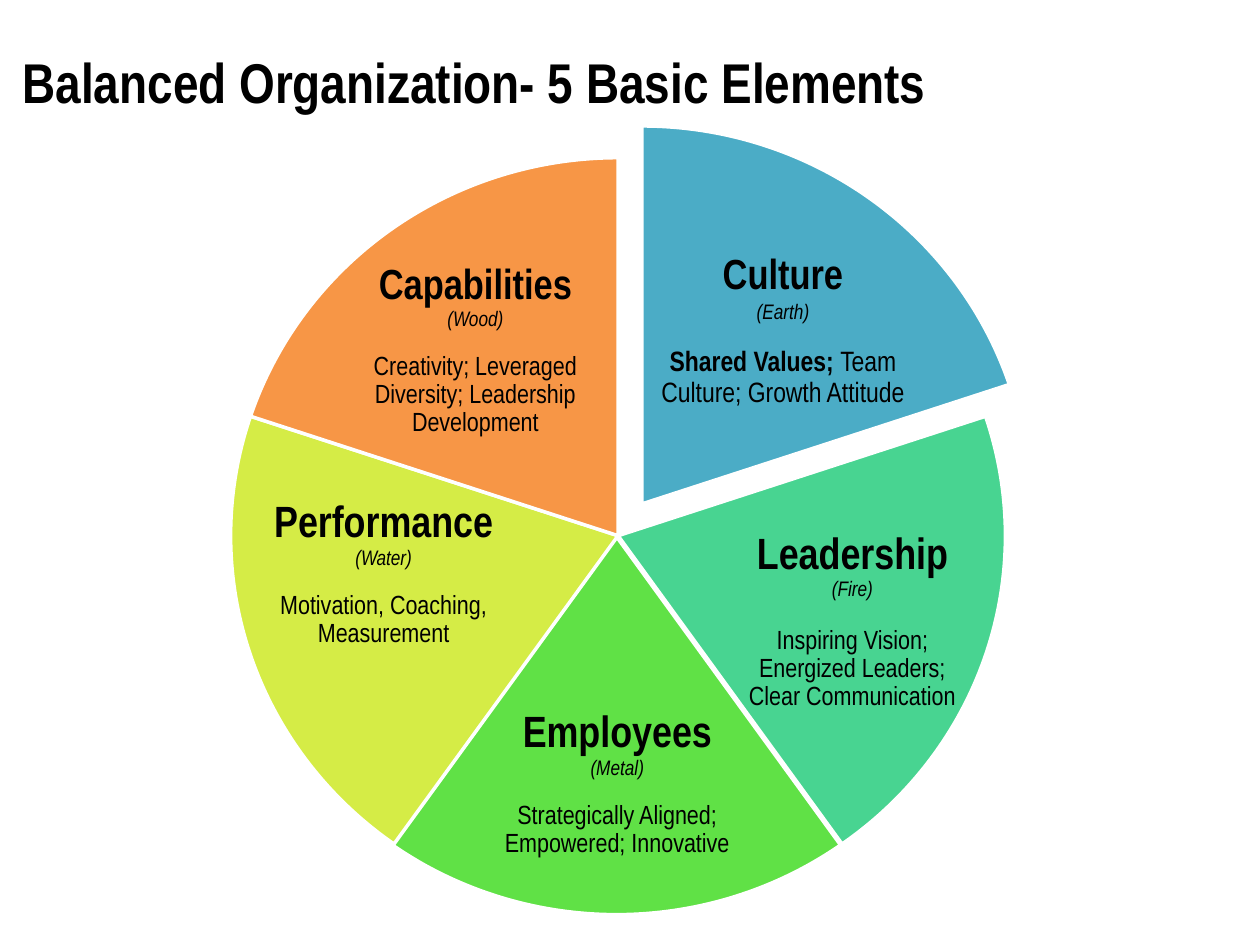
import pptx
import pptx.util
import pptx.dml.color
import pptx.enum.shapes
import pptx.enum.text

Cm = pptx.util.Cm
Pt = pptx.util.Pt

COLORS = {
    "text": "000000",
    "gap": "FFFFFF",
    "Culture": "4BACC6",
    "Leadership": "48D491",
    "Employees": "60E146",
    "Performance": "D5EC46",
    "Capabilities": "F79646",
}

ELEMENTS = [
    ("Culture", "(Earth)", ["Shared Values; ", "Team Culture; Growth Attitude"],
     (5.13, 2.54), (13.13, 5.0, 5.31), (24, 16), 1.0, 13.8),
    ("Leadership", "(Fire)", ["Inspiring Vision; Energized Leaders; Clear Communication"],
     (4.65, 3.18), (14.86, 10.71, 4.65), (25, 15), 0.9, 14.5),
    ("Employees", "(Metal)", ["Strategically Aligned; Empowered; Innovative"],
     (4.62, 3.2), (9.65, 14.31, 5.59), (25, 15), 0.9, 12.4),
    ("Performance", "(Water)", ["Motivation, Coaching, Measurement"],
     (4.65, 3.18), (5.41, 10.08, 4.65), (25, 15), 0.9, 12.4),
    ("Capabilities", "(Wood)", ["Creativity; Leveraged Diversity; Leadership Development"],
     (4.65, 3.18), (6.93, 5.3, 5.31), (24, 15), 0.9, 12.4),
]


class WheelSlide:
    font = "Arial Narrow"
    pie_size = (15.62, 15.24)
    label_height = 3.6
    inset = 0.08

    def __init__(self, deck):
        self.slide = deck.slides.add_slide(deck.slide_layouts[5])

    def color(self, key):
        return pptx.dml.color.RGBColor.from_string(COLORS[key])

    def style(self, run, size, bold=False, italic=False):
        run.font.name = self.font
        run.font.size = Pt(size)
        run.font.bold = bold
        run.font.italic = italic
        run.font.color.rgb = self.color("text")

    def title(self, text, left, top, width, height):
        heading = self.slide.shapes.title
        heading.left, heading.top = Cm(left), Cm(top)
        heading.width, heading.height = Cm(width), Cm(height)
        frame = heading.text_frame
        frame.text = text
        frame.auto_size = pptx.enum.text.MSO_AUTO_SIZE.NONE
        frame.vertical_anchor = pptx.enum.text.MSO_ANCHOR.TOP
        frame.paragraphs[0].alignment = pptx.enum.text.PP_ALIGN.LEFT
        self.style(frame.paragraphs[0].runs[0], 32, bold=True)

    def slice(self, element, left, top, start, sweep):
        wedge = self.slide.shapes.add_shape(
            pptx.enum.shapes.MSO_SHAPE.PIE, Cm(left), Cm(top), *map(Cm, self.pie_size))
        for index, degrees in enumerate((start, start + sweep)):
            wedge.adjustments[index] = degrees % 360 * 0.6
        wedge.shadow.inherit = False
        wedge.fill.solid()
        wedge.fill.fore_color.rgb = self.color(element)
        wedge.line.color.rgb = self.color("gap")
        wedge.line.width = Pt(2)

    def label(self, element, symbol, traits, place, sizes, spacing, gap):
        left, top, width = place
        label = self.slide.shapes.add_textbox(
            Cm(left), Cm(top), Cm(width), Cm(self.label_height))
        frame = label.text_frame
        frame.word_wrap = True
        frame.margin_left = frame.margin_right = Cm(self.inset)
        frame.margin_top = frame.margin_bottom = 0
        frame.text = "\n".join((element, symbol, traits[0]))
        name, nature, description = frame.paragraphs
        for trait in traits[1:]:
            description.add_run().text = trait
        for line in frame.paragraphs:
            line.alignment = pptx.enum.text.PP_ALIGN.CENTER
            line.line_spacing = spacing
        description.line_spacing = 0.9
        description.space_before = Pt(gap)
        self.style(name.runs[0], sizes[0], bold=True)
        self.style(nature.runs[0], 12, italic=True)
        for run in description.runs:
            self.style(run, sizes[1])
        description.runs[0].font.bold = len(traits) > 1


def main():
    deck = pptx.Presentation()
    deck.slide_width, deck.slide_height = Cm(25.4), Cm(19.05)
    wheel = WheelSlide(deck)
    wheel.title("Balanced Organization- 5 Basic Elements", 0.2, 0.84, 21.8, 1.63)
    sweep = 360 / len(ELEMENTS)
    for order, (element, symbol, traits, corner, *layout) in enumerate(ELEMENTS):
        wheel.slice(element, *corner, 270 + order * sweep, sweep)
        wheel.label(element, symbol, traits, *layout)
    deck.save("out.pptx")


if __name__ == "__main__":
    main()
